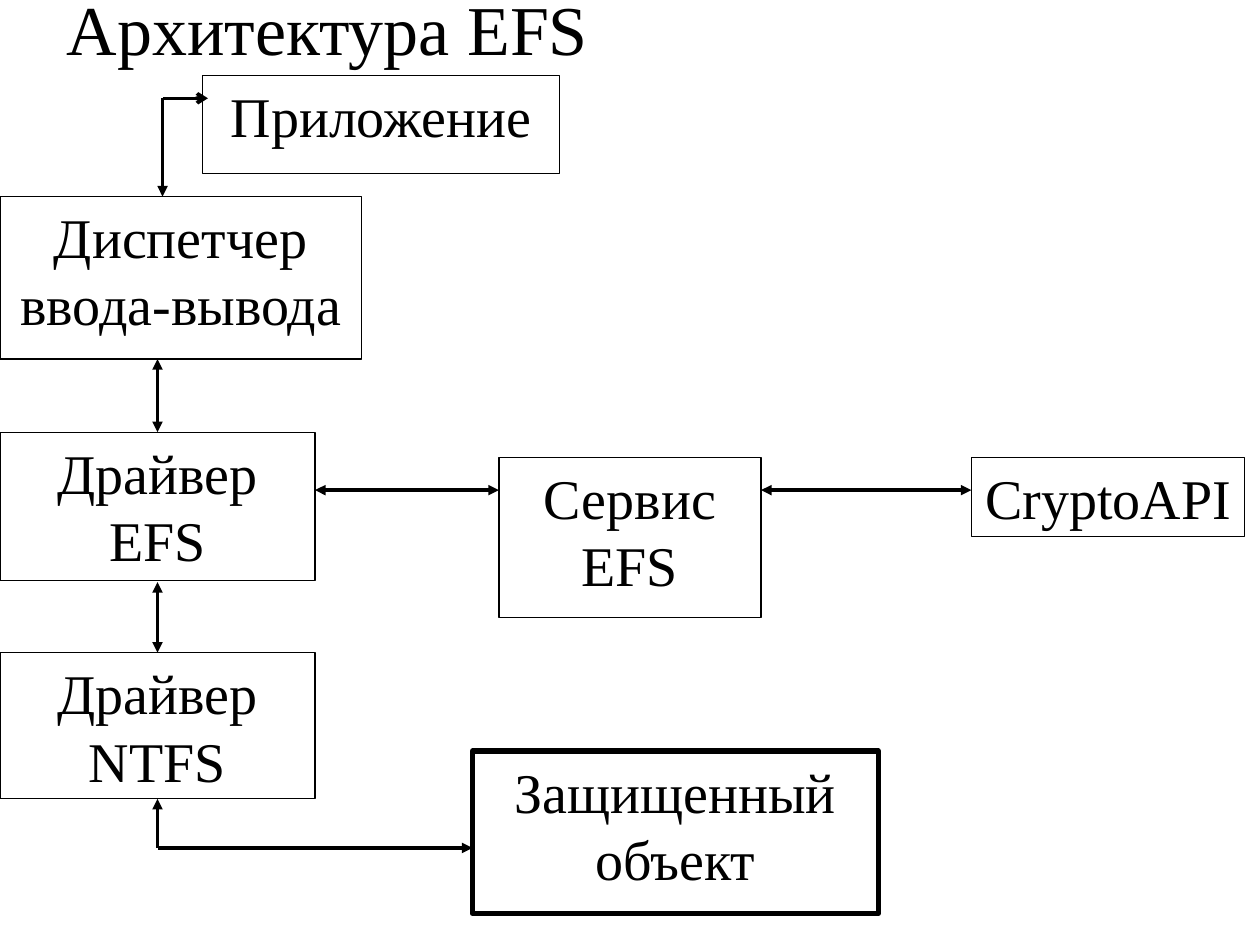
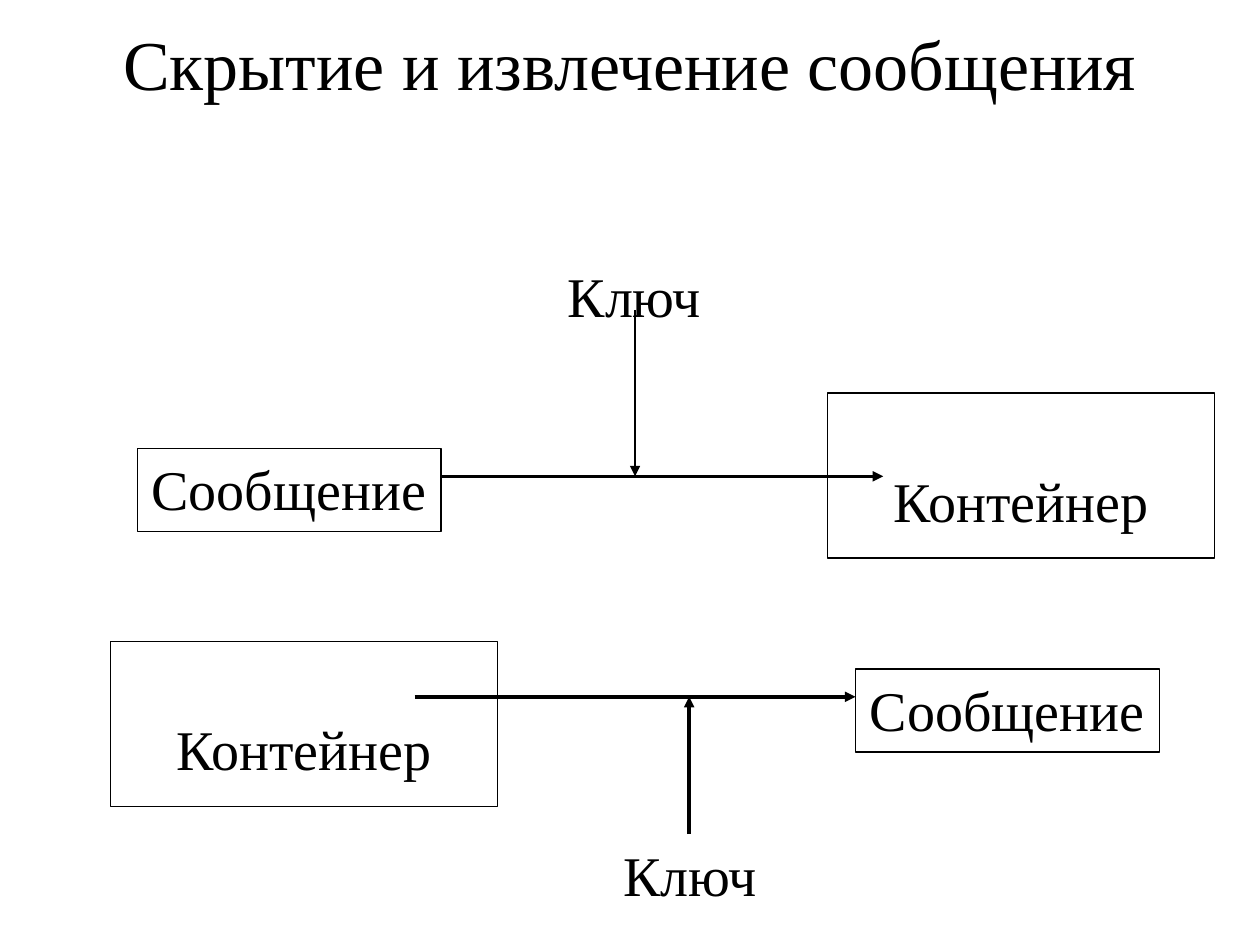
from dataclasses import dataclass

from lxml.etree import SubElement
from pptx import Presentation
from pptx.dml.color import RGBColor
from pptx.enum.shapes import MSO_CONNECTOR as CONNECTOR, MSO_SHAPE as SHAPE
from pptx.enum.text import MSO_ANCHOR as ANCHOR, MSO_AUTO_SIZE as AUTO_SIZE, PP_ALIGN as ALIGN
from pptx.oxml.ns import qn
from pptx.util import Inches, Pt


@dataclass(frozen=True)
class Theme:
    font: str = "Times New Roman"
    ink: RGBColor = RGBColor(0, 0, 0)
    paper: RGBColor = RGBColor(255, 255, 255)
    title_size: int = 40
    body_size: int = 32
    border: float = 0.75
    bold_border: float = 3
    arrow: float = 2
    thin_arrow: float = 1.5
    side_inset: float = 0.1
    top_inset: float = 0.05
    line_height: float = 0.53


THEME = Theme()
TITLE_ONLY = 5


def write(frame, text, size, align, anchor, skipped_lines=0):
    frame.word_wrap = True
    frame.auto_size = AUTO_SIZE.NONE
    frame.vertical_anchor = anchor
    frame.margin_left = frame.margin_right = Inches(THEME.side_inset)
    frame.margin_top = Inches(THEME.top_inset + skipped_lines * THEME.line_height)
    frame.margin_bottom = Inches(THEME.top_inset)
    paragraph = frame.paragraphs[0]
    paragraph.alignment = align
    run = paragraph.add_run()
    run.text = text
    run.font.size = Pt(size)
    run.font.name = THEME.font
    run.font.color.rgb = THEME.ink


def add_titled_slide(deck, text, left, top, width, height, align):
    slide = deck.slides.add_slide(deck.slide_layouts[TITLE_ONLY])
    title = slide.shapes.title
    title.left, title.top = Inches(left), Inches(top)
    title.width, title.height = Inches(width), Inches(height)
    write(title.text_frame, text, THEME.title_size, align, ANCHOR.MIDDLE)
    return slide


def add_box(slide, text, left, top, width, height, border=THEME.border, skipped_lines=0):
    box = slide.shapes.add_shape(
        SHAPE.RECTANGLE, Inches(left), Inches(top), Inches(width), Inches(height))
    box.shadow.inherit = False
    box.fill.solid()
    box.fill.fore_color.rgb = THEME.paper
    if border:
        box.line.color.rgb = THEME.ink
        box.line.width = Pt(border)
    else:
        box.line.fill.background()
    write(box.text_frame, text, THEME.body_size, ALIGN.CENTER, ANCHOR.TOP, skipped_lines)


def add_arrow(slide, start, end, both_ways=False, tip="triangle", weight=THEME.arrow):
    arrow = slide.shapes.add_connector(
        CONNECTOR.STRAIGHT, *(Inches(value) for value in (*start, *end)))
    arrow.line.color.rgb = THEME.ink
    arrow.line.width = Pt(weight)
    outline = arrow.line._ln
    if both_ways:
        SubElement(outline, qn("a:headEnd"), type=tip)
    SubElement(outline, qn("a:tailEnd"), type=tip)
    SubElement(arrow._element.spPr, qn("a:effectLst"))


def add_message(slide, left, top):
    add_box(slide, "Сообщение", left, top, 2.41, 0.66)


def add_container(slide, left, top):
    add_box(slide, "Контейнер", left, top, 3.07, 1.31, skipped_lines=1)


def add_key(slide, left, top):
    add_box(slide, "Ключ", left, top, 1.75, 0.66, border=0)


def build_architecture(deck):
    slide = add_titled_slide(deck, "Архитектура EFS", 0.43, 0, 9, 0.44, ALIGN.LEFT)
    components = [
        ("Приложение", 1.61, 0.6, 2.83, 0.78),
        ("Диспетчер ввода-вывода", 0, 1.56, 2.87, 1.29),
        ("Драйвер EFS", 0, 3.43, 2.5, 1.18),
        ("Драйвер NTFS", 0, 5.18, 2.5, 1.16),
        ("Сервис EFS", 3.96, 3.63, 2.08, 1.27),
        ("CryptoAPI", 7.71, 3.63, 2.17, 0.63),
    ]
    for component in components:
        add_box(slide, *component)
    add_box(slide, "Защищенный объект", 3.75, 5.96, 3.22, 1.29, THEME.bold_border)

    driver_x, service_y = 1.25, 3.89
    for top, bottom in [(2.85, 3.43), (4.62, 5.18)]:
        add_arrow(slide, (driver_x, top), (driver_x, bottom), both_ways=True)
    for left, right in [(2.5, 3.96), (6.04, 7.71)]:
        add_arrow(slide, (left, service_y), (right, service_y), both_ways=True)

    application_bend = (1.29, 0.78)
    add_arrow(slide, application_bend, (1.29, 1.56))
    add_arrow(slide, application_bend, (1.65, 0.78), tip="arrow")
    object_bend = (driver_x, 6.73)
    add_arrow(slide, object_bend, (3.75, 6.73))
    add_arrow(slide, object_bend, (driver_x, 6.34))


def build_message_hiding(deck):
    slide = add_titled_slide(
        deck, "Скрытие и извлечение сообщения", 0, 0, 10, 0.99, ALIGN.CENTER)
    hiding_y, extraction_y = 3.78, 5.53

    add_message(slide, 1.09, 3.56)
    add_container(slide, 6.57, 3.12)
    add_arrow(slide, (3.5, hiding_y), (7.01, hiding_y))
    add_key(slide, 4.16, 2.03)
    add_arrow(slide, (5.04, 2.46), (5.04, hiding_y), weight=THEME.thin_arrow)

    add_container(slide, 0.88, 5.09)
    add_message(slide, 6.79, 5.31)
    add_arrow(slide, (3.29, extraction_y), (6.79, extraction_y))
    add_key(slide, 4.6, 6.62)
    add_arrow(slide, (5.47, 6.62), (5.47, extraction_y))


def main():
    deck = Presentation()
    deck.slide_width, deck.slide_height = Inches(10), Inches(7.5)
    build_architecture(deck)
    build_message_hiding(deck)
    deck.save("out.pptx")


if __name__ == "__main__":
    main()
